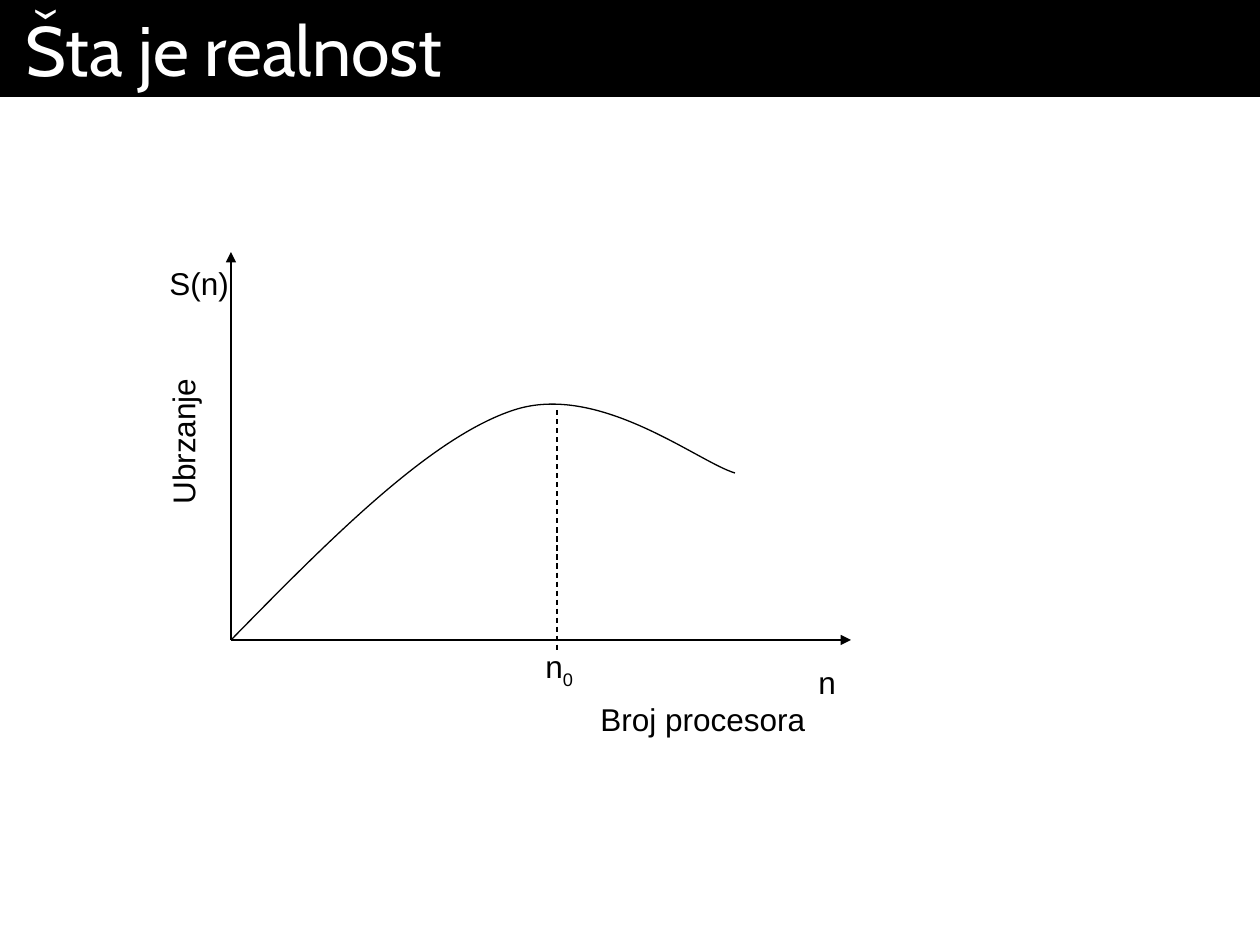
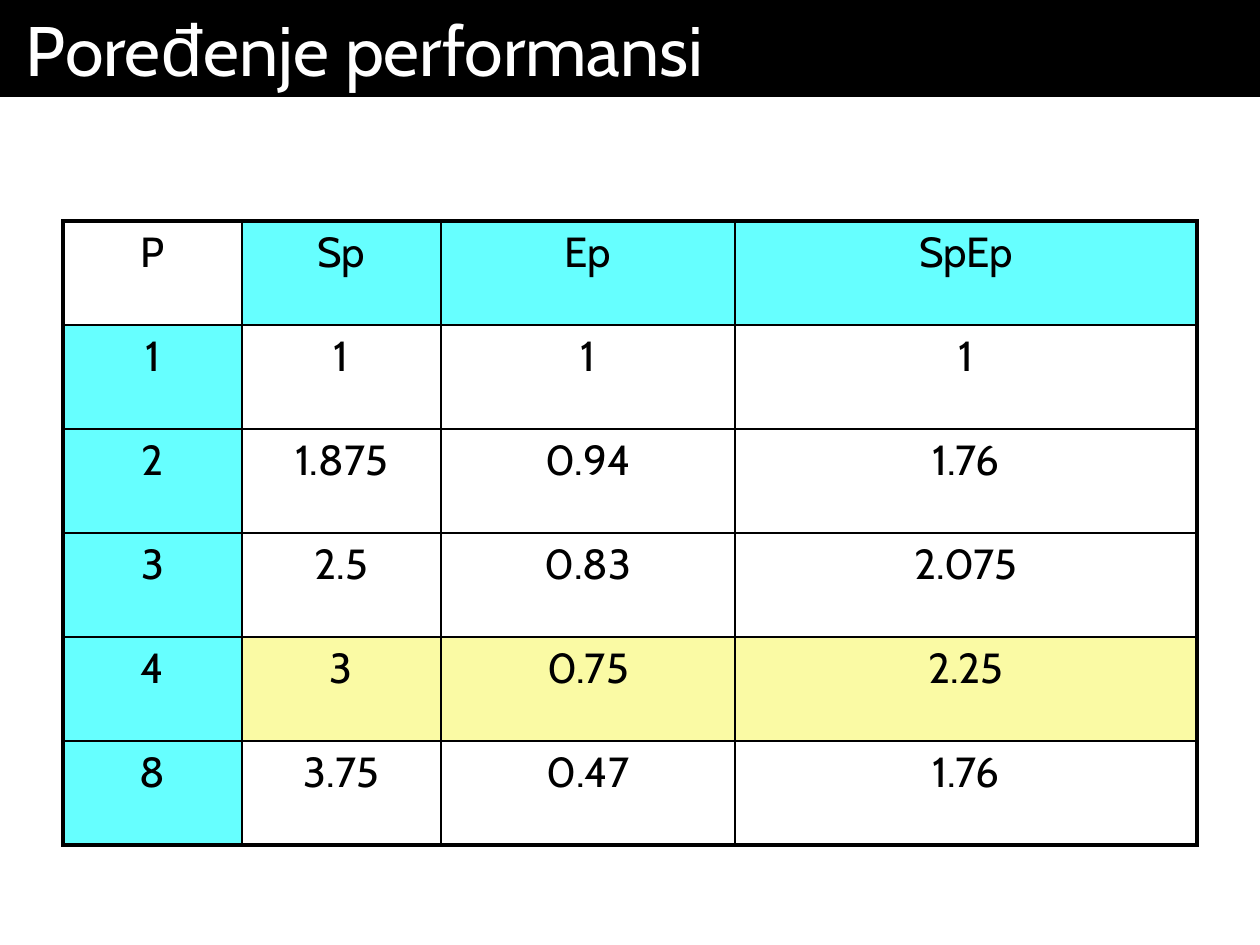
"""Build two slides: a speedup curve and a performance comparison table."""
from lxml import etree
from pptx import Presentation
from pptx.dml.color import RGBColor
from pptx.enum.dml import MSO_LINE
from pptx.enum.shapes import MSO_CONNECTOR, MSO_SHAPE
from pptx.enum.text import MSO_ANCHOR, PP_ALIGN
from pptx.oxml.ns import qn
from pptx.util import Pt

PX = 914400 / 126
RECT, STRAIGHT, DASH = MSO_SHAPE.RECTANGLE, MSO_CONNECTOR.STRAIGHT, MSO_LINE.DASH
TOP, MIDDLE, BOTTOM = MSO_ANCHOR.TOP, MSO_ANCHOR.MIDDLE, MSO_ANCHOR.BOTTOM
LEFT, CENTER = PP_ALIGN.LEFT, PP_ALIGN.CENTER
BLACK, WHITE, CYAN, YELLOW = "000000", "FFFFFF", "66FFFF", "FAFAA4"
rgb = RGBColor.from_string


def px(*values):
    return [round(v * PX) for v in values]


def write(tf, text, size=18, font="Arial", color=BLACK, align=LEFT, anchor=BOTTOM,
          wrap=False, baseline=None):
    tf.word_wrap = wrap
    tf.vertical_anchor = anchor
    p = tf.paragraphs[0]
    p.alignment = align
    r = p.add_run()
    r.text = text
    r.font.size = Pt(size)
    r.font.name = font
    r.font.color.rgb = rgb(color)
    if baseline:
        r.font._element.set("baseline", str(baseline))


prs = Presentation()
prs.slide_width, prs.slide_height = px(1260, 945)

slides = []
for title in ("Šta je realnost", "Poređenje performansi"):
    s = prs.slides.add_slide(prs.slide_layouts[6])
    sp = s.shapes.add_shape(RECT, *px(0, 0, 1260, 97))
    sp.shadow.inherit = False
    sp.fill.solid()
    sp.fill.fore_color.rgb = rgb(BLACK)
    sp.line.fill.background()
    tf = sp.text_frame
    tf.margin_left, tf.margin_right = px(26, 26)
    write(tf, title, size=40, font="Cabin", color=WHITE, anchor=MIDDLE, wrap=True)
    slides.append(s)
chart_slide, table_slide = slides

x0, y0 = 231, 640
peak_x = 557
for x1, y1, x2, y2, is_axis in (
    (x0, y0, x0, 252, True),
    (x0, y0, 851, y0, True),
    (peak_x, 410, peak_x, 651, False),
):
    cn = chart_slide.shapes.add_connector(STRAIGHT, *px(x1, y1, x2, y2))
    cn.line.color.rgb = rgb(BLACK)
    cn.line.width = Pt(0.75)
    if is_axis:
        etree.SubElement(cn.line._get_or_add_ln(), qn("a:tailEnd"), type="triangle")
    else:
        cn.line.dash_style = DASH
    etree.SubElement(cn._element.spPr, qn("a:effectLst"))

curve = [(330, 539), (431, 437), (514, 410), (599, 382), (698, 462), (735, 473)]
fb = chart_slide.shapes.build_freeform(x0, y0, scale=PX)
fb.add_line_segments(curve, close=False)
sp = fb.convert_to_shape()
sp.shadow.inherit = False
sp.fill.background()
sp.line.color.rgb = rgb(BLACK)
sp.line.width = Pt(0.75)
path = next(sp._element.iter(qn("a:path")))
segments = path.findall(qn("a:lnTo"))
for i in range(0, len(segments), 3):
    bezier = etree.SubElement(path, qn("a:cubicBezTo"))
    for segment in segments[i:i + 3]:
        bezier.append(segment[0])
        path.remove(segment)

for text, subscript, x, y, w, rotation in (
    ("n", "", 806, 657, 46, 0),
    ("S(n)", "", 157, 258, 92, 0),
    ("n", "0", 533, 646, 58, 0),
    ("Broj procesora", "", 588, 694, 236, 0),
    ("Ubrzanje", "", 103, 412, 160, 270),
):
    sp = chart_slide.shapes.add_textbox(*px(x, y, w, 50))
    sp.rotation = rotation
    write(sp.text_frame, text)
    if subscript:
        write(sp.text_frame, subscript, baseline=-25000)

rows = [
    ("P", "Sp", "Ep", "SpEp"),
    ("1", "1", "1", "1"),
    ("2", "1.875", "0.94", "1.76"),
    ("3", "2.5", "0.83", "2.075"),
    ("4", "3", "0.75", "2.25"),
    ("8", "3.75", "0.47", "1.76"),
]
widths = (179, 199, 294, 462)
row_h = 104
best_row = 4
last_row, last_col = len(rows) - 1, len(widths) - 1
table = table_slide.shapes.add_table(
    len(rows), len(widths), *px(63, 221, sum(widths), row_h * len(rows))).table
table.first_row = table.horz_banding = False
for column, width in zip(table.columns, px(*widths)):
    column.width = width
for i, row in enumerate(rows):
    table.rows[i].height = px(row_h)[0]
    for j, text in enumerate(row):
        cell = table.cell(i, j)
        tcPr = cell._tc.get_or_add_tcPr()
        for side, outer in (("L", j == 0), ("R", j == last_col),
                            ("T", i == 0), ("B", i == last_row)):
            ln = etree.SubElement(tcPr, qn(f"a:ln{side}"), w=str(Pt(2.25 if outer else 1)))
            fill = etree.SubElement(ln, qn("a:solidFill"))
            etree.SubElement(fill, qn("a:srgbClr"), val=BLACK)
        if (i == 0) != (j == 0):
            color = CYAN
        elif i == best_row:
            color = YELLOW
        else:
            color = WHITE
        cell.fill.solid()
        cell.fill.fore_color.rgb = rgb(color)
        write(cell.text_frame, text, size=24, font="Cabin", align=CENTER, anchor=TOP, wrap=True)

prs.save("out.pptx")
